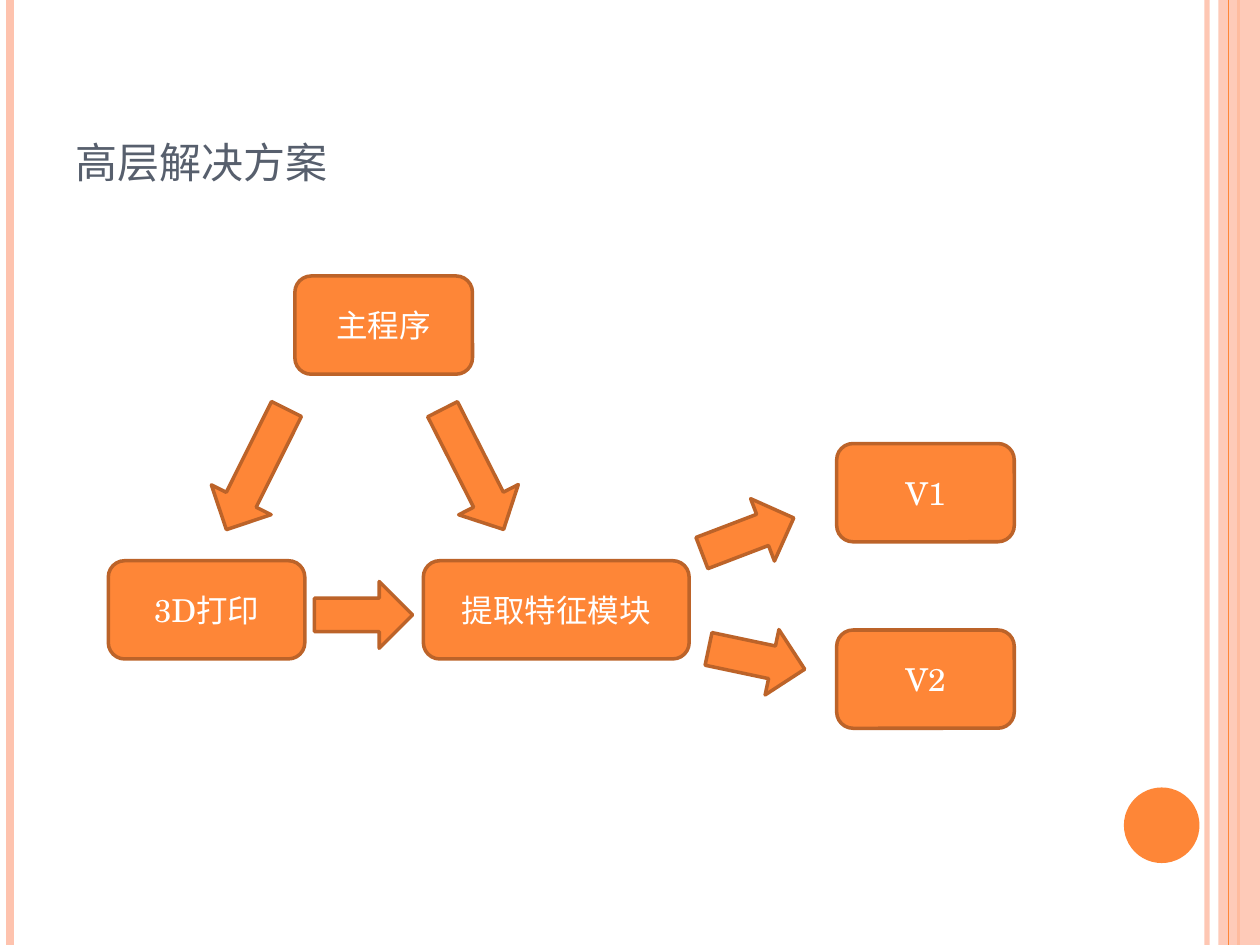
from lxml import etree
from pptx import Presentation
from pptx.dml.color import RGBColor
from pptx.enum.shapes import MSO_CONNECTOR, MSO_SHAPE
from pptx.enum.text import MSO_ANCHOR, PP_ALIGN
from pptx.oxml.ns import qn
from pptx.util import Inches, Pt

ORANGE = RGBColor(0xFE, 0x86, 0x37)
RUST = RGBColor(0xBC, 0x63, 0x29)
PEACH = RGBColor(0xFE, 0xC3, 0xAE)
SLATE = RGBColor(0x57, 0x5F, 0x6D)
WHITE = RGBColor(0xFF, 0xFF, 0xFF)
FONT = "TeX Gyre Schola"
STRAIGHT = MSO_CONNECTOR.STRAIGHT
RECTANGLE, OVAL = MSO_SHAPE.RECTANGLE, MSO_SHAPE.OVAL
ROUNDED, DOWN_ARROW = MSO_SHAPE.ROUNDED_RECTANGLE, MSO_SHAPE.DOWN_ARROW
MIDDLE, BOTTOM = MSO_ANCHOR.MIDDLE, MSO_ANCHOR.BOTTOM
CENTER = PP_ALIGN.CENTER

SLIDE_W, SLIDE_H = 10, 7.5
TITLE = "高层解决方案"

# Vertical rules: x, colour, width in points, opacity in percent
RULES_BELOW_BAND = [(9.58, PEACH, 3, 93), (0.08, PEACH, 4.5, 100),
                    (9.83, ORANGE, 1.5, 100)]
RULE_ABOVE_BAND = (9.75, ORANGE, 0.75, 100)

# Modules: label, left, top, width
MODULE_H = 0.78
MODULES = [
    ("主程序", 2.34, 2.19, 1.41),
    ("3D打印", 0.86, 4.45, 1.56),
    ("提取特征模块", 3.36, 4.45, 2.11),
    ("V1", 6.64, 3.52, 1.41),
    ("V2", 6.64, 5, 1.41),
]

# Flow arrows: left, top, length, rotation in degrees
ARROW_W = 0.53
ARROWS = [
    (1.77, 3.19, 1.07, 26.5),
    (3.49, 3.19, 1.07, 333.1),
    (2.62, 4.49, 0.78, 270),
    (5.67, 3.86, 0.78, 249.1),
    (5.74, 4.84, 0.78, 281.9),
]

prs = Presentation()
prs.slide_width, prs.slide_height = Inches(SLIDE_W), Inches(SLIDE_H)
slide = prs.slides.add_slide(prs.slide_layouts[6])


def set_opacity(element, percent):
    color = element.find(".//" + qn("a:srgbClr"))
    etree.SubElement(color, qn("a:alpha")).set("val", str(percent * 1000))


def add_rule(x, color, width, opacity):
    rule = slide.shapes.add_connector(STRAIGHT, Inches(x), 0, Inches(x), Inches(SLIDE_H))
    rule.line.color.rgb = color
    rule.line.width = Pt(width)
    properties = rule._element.spPr
    if opacity < 100:
        set_opacity(properties, opacity)
    etree.SubElement(properties, qn("a:effectLst"))


def add_block(kind, left, top, width, height, fill=ORANGE, outline=None):
    block = slide.shapes.add_shape(kind, *map(Inches, (left, top, width, height)))
    block.shadow.inherit = False
    block.fill.solid()
    block.fill.fore_color.rgb = fill
    if outline is None:
        block.line.fill.background()
    else:
        block.line.color.rgb = outline
        block.line.width = Pt(2)
    return block


def write(frame, text, size, color, anchor):
    frame.word_wrap = True
    frame.vertical_anchor = anchor
    paragraph = frame.paragraphs[0]
    paragraph.text = text
    paragraph.font.name = FONT
    paragraph.font.size = Pt(size)
    paragraph.font.color.rgb = color
    return paragraph


# Side decoration
for rule in RULES_BELOW_BAND:
    add_rule(*rule)
band = add_block(RECTANGLE, 9.67, 0, 0.33, SLIDE_H, PEACH)
set_opacity(band._element.spPr, 87)
add_rule(*RULE_ABOVE_BAND)
add_block(OVAL, 8.92, 6.25, 0.6, 0.6)

# Title in small capitals
title = slide.shapes.add_textbox(Inches(0.5), Inches(0.3), Inches(8.17), Inches(1.25))
heading = write(title.text_frame, TITLE, 30, SLATE, BOTTOM)
heading.runs[0]._r.get_or_add_rPr().set("cap", "small")

# Modules
for label, left, top, width in MODULES:
    module = add_block(ROUNDED, left, top, width, MODULE_H, outline=RUST)
    write(module.text_frame, label, 18, WHITE, MIDDLE).alignment = CENTER

# Flow arrows
for left, top, length, rotation in ARROWS:
    arrow = add_block(DOWN_ARROW, left, top, ARROW_W, length, outline=RUST)
    arrow.rotation = rotation

prs.save("out.pptx")
